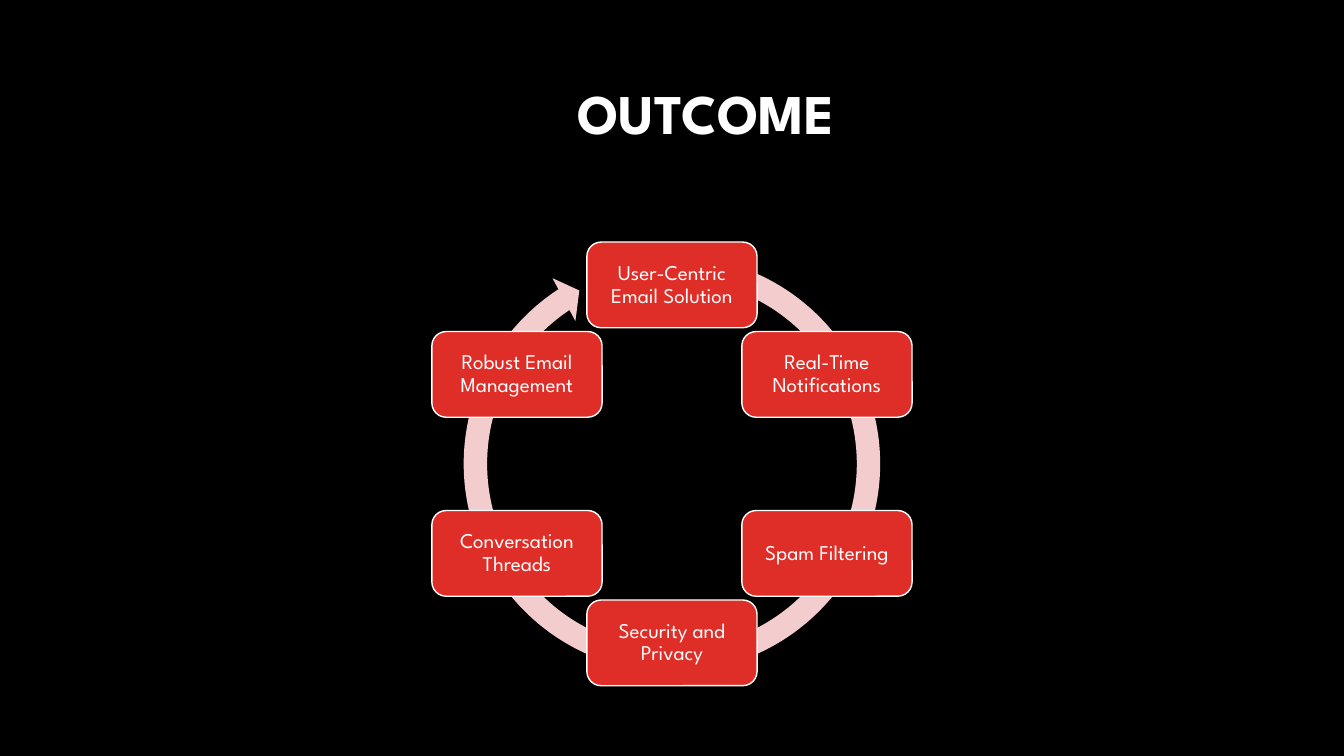
from math import cos, radians, sin

from pptx import Presentation
from pptx.dml.color import RGBColor
from pptx.enum.shapes import MSO_SHAPE as Shape
from pptx.enum.text import MSO_ANCHOR as Anchor, PP_ALIGN as Align
from pptx.util import Cm, Pt

COLORS = {"background": "000000", "node": "DF2E28", "ring": "F3CDCD", "text": "FFFFFF"}
FONT = "League Spartan"
OUTCOMES = [
    "User-Centric Email Solution",
    "Real-Time Notifications",
    "Spam Filtering",
    "Security and Privacy",
    "Conversation Threads",
    "Robust Email Management",
]
# Thickness, head angle, end angle, start angle and head size
RING_ADJUSTMENTS = [0.053, 3.126, 142.003, 171.433, 0.055]


def color(name):
    return RGBColor.from_string(COLORS[name])


def write(shape, text, size, align, bold=False):
    frame = shape.text_frame
    frame.word_wrap = True
    frame.vertical_anchor = Anchor.MIDDLE
    frame.text = text
    paragraph = frame.paragraphs[0]
    paragraph.alignment = align
    paragraph.line_spacing = 0.9
    font = paragraph.runs[0].font
    font.name = FONT
    font.size = Pt(size)
    font.bold = bold
    font.color.rgb = color("text")


def add_filled(slide, kind, center_x, center_y, width, height, fill):
    shape = slide.shapes.add_shape(
        kind, Cm(center_x - width / 2), Cm(center_y - height / 2), Cm(width), Cm(height))
    shape.shadow.inherit = False
    shape.fill.solid()
    shape.fill.fore_color.rgb = color(fill)
    return shape


def add_title(slide, left, top, width, height):
    title = slide.shapes.add_textbox(Cm(left), Cm(top), Cm(width), Cm(height))
    write(title, "OUTCOME", 40, Align.RIGHT, bold=True)


def add_node(slide, text, center_x, center_y, width, height):
    node = add_filled(slide, Shape.ROUNDED_RECTANGLE, center_x, center_y, width, height, "node")
    node.line.color.rgb = color("text")
    node.line.width = Pt(1)
    frame = node.text_frame
    frame.margin_left = frame.margin_right = Cm(0.15)
    frame.margin_top = frame.margin_bottom = Cm(0.15)
    write(node, text, 15, Align.CENTER)


def add_cycle(slide, left, top, width, height):
    center_x, center_y = left + width / 2, top + height / 2
    node_width, node_height = 4.29, 2.16
    radius = (height - node_height) / 2

    # Ring with its arrowhead, behind the nodes
    ring = add_filled(slide, Shape.CIRCULAR_ARROW, center_x, center_y, 11.13, 11.13, "ring")
    ring.line.fill.background()
    for index, value in enumerate(RING_ADJUSTMENTS):
        ring.adjustments[index] = value

    # Nodes clockwise from the top
    for index, text in enumerate(OUTCOMES):
        angle = radians(index * 360 / len(OUTCOMES))
        add_node(slide, text, center_x + radius * sin(angle),
                 center_y - radius * cos(angle), node_width, node_height)


def main():
    presentation = Presentation()
    presentation.slide_width, presentation.slide_height = Cm(33.87), Cm(19.05)
    slide = presentation.slides.add_slide(presentation.slide_layouts[6])
    slide.background.fill.solid()
    slide.background.fill.fore_color.rgb = color("background")
    add_title(slide, 9.04, 1.14, 12.24, 3.58)
    add_cycle(slide, 10.88, 6.1, 12.11, 11.18)
    presentation.save("out.pptx")


if __name__ == "__main__":
    main()
